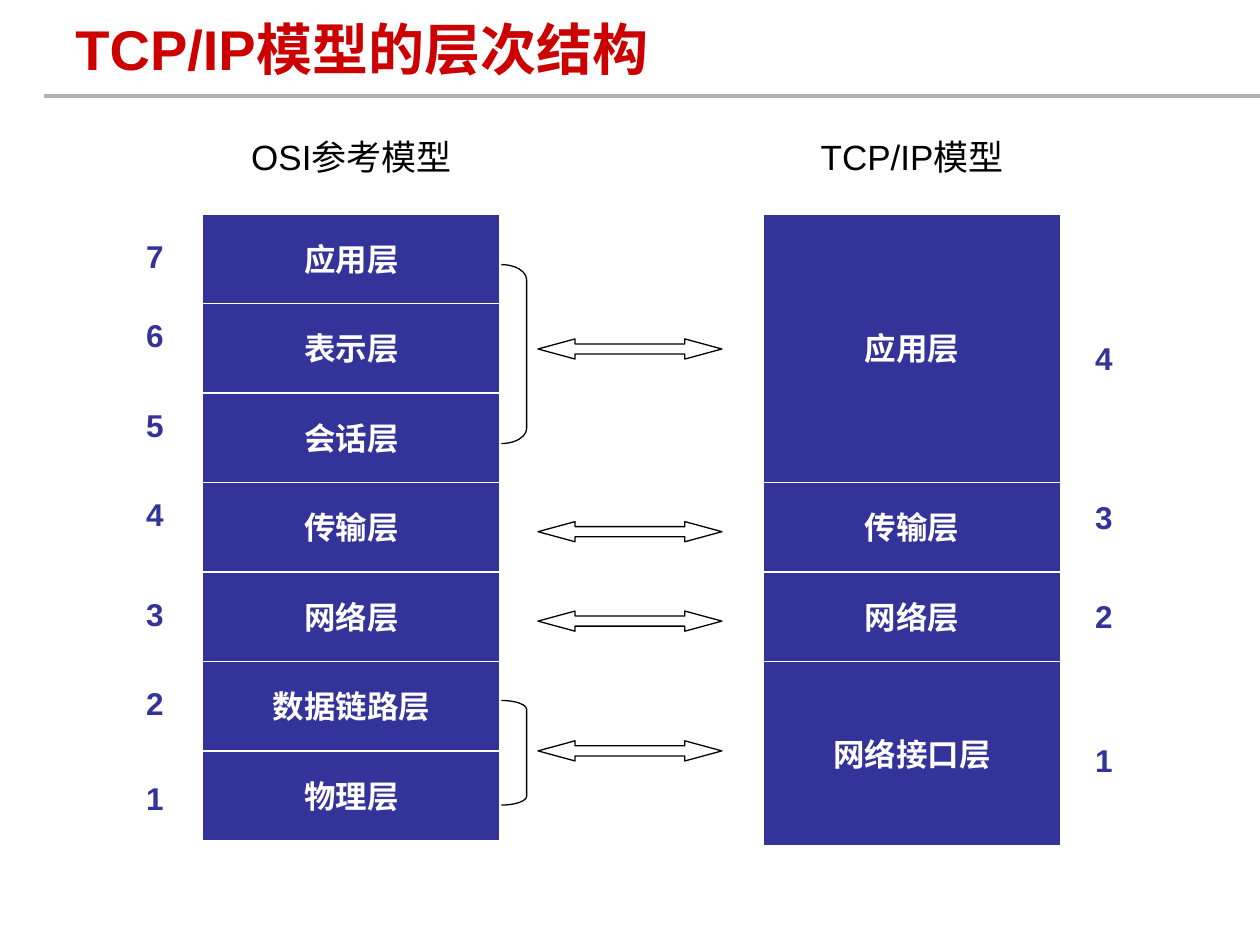
from pptx import Presentation
from pptx.dml.color import RGBColor
from pptx.enum.shapes import MSO_CONNECTOR, MSO_SHAPE as Shape
from pptx.enum.text import MSO_ANCHOR as Anchor, PP_ALIGN as Align
from pptx.oxml.ns import qn
from pptx.util import Inches, Pt

RED = RGBColor(0xCC, 0x00, 0x00)
NAVY = RGBColor(0x33, 0x33, 0x99)
GRAY = RGBColor(0xB2, 0xB2, 0xB2)
BLACK = RGBColor(0x00, 0x00, 0x00)
WHITE = RGBColor(0xFF, 0xFF, 0xFF)

TITLE = "TCP/IP模型的层次结构"
ROW_TOP, ROW_HEIGHT = 1.7, 0.71
STACK_WIDTH = 2.36
HEADING_WIDTH = 2.01
NUMBER_WIDTH, NUMBER_HEIGHT = 0.34, 0.4
ARROW_LEFT, ARROW_WIDTH, ARROW_HEIGHT = 4.27, 1.46, 0.16

# name, height in rows, top of the layer number
STACKS = [
    {
        "heading": "OSI参考模型", "left": 1.61, "number_left": 1.06,
        "layers": [("应用层", 1, 1.83), ("表示层", 1, 2.46), ("会话层", 1, 3.17),
                   ("传输层", 1, 3.88), ("网络层", 1, 4.67),
                   ("数据链路层", 1, 5.38), ("物理层", 1, 6.13)],
    },
    {
        "heading": "TCP/IP模型", "left": 6.06, "number_left": 8.59,
        "layers": [("应用层", 3, 2.64), ("传输层", 1, 3.9), ("网络层", 1, 4.69),
                   ("网络接口层", 2.06, 5.83)],
    },
]
BRACKETS = [(2.1, 1.42, 0.6), (5.56, 0.83, 0.35)]
ARROW_TOPS = [2.69, 4.14, 4.85, 5.88]


def write(shape, text, size, color, font="Arial", bold=True,
          align=Align.CENTER, anchor=Anchor.TOP, wrap=False, space_before=0):
    frame = shape.text_frame
    frame.word_wrap = wrap
    frame.vertical_anchor = anchor
    paragraph = frame.paragraphs[0]
    paragraph.alignment = align
    paragraph.space_before = Pt(space_before)
    run = paragraph.add_run()
    run.text = text
    run.font.size = Pt(size)
    run.font.name = font
    run.font.bold = bold
    run.font.color.rgb = color


def add_label(slide, box, text, size, color, **style):
    write(slide.shapes.add_textbox(*map(Inches, box)), text, size, color, **style)


def add_outline(slide, kind, box, line_color, fill_color=None, adjustments=()):
    shape = slide.shapes.add_shape(kind, *map(Inches, box))
    shape.shadow.inherit = False
    if fill_color is None:
        shape.fill.background()
    else:
        shape.fill.solid()
        shape.fill.fore_color.rgb = fill_color
    shape.line.color.rgb = line_color
    shape.line.width = Pt(0.75)
    for index, value in enumerate(adjustments):
        shape.adjustments[index] = value
    return shape


def add_header(slide):
    rule = slide.shapes.add_connector(
        MSO_CONNECTOR.STRAIGHT, Inches(0.35), Inches(0.76), Inches(10), Inches(0.76))
    rule.line.color.rgb = GRAY
    rule.line.width = Pt(2.25)
    properties = rule._element.spPr
    properties.append(properties.makeelement(qn("a:effectLst"), {}))
    add_label(slide, (0.5, 0.05, 7.92, 0.67), TITLE, 32, RED,
              align=Align.LEFT, anchor=Anchor.MIDDLE, wrap=True)


def add_stack(slide, stack):
    heading_left = stack["left"] + (STACK_WIDTH - HEADING_WIDTH) / 2
    add_label(slide, (heading_left, 1.03, HEADING_WIDTH, 0.44), stack["heading"],
              20, BLACK, bold=False, wrap=True, space_before=12.5)
    top = ROW_TOP
    for index, (name, rows, number_top) in enumerate(stack["layers"]):
        height = rows * ROW_HEIGHT
        layer = add_outline(slide, Shape.RECTANGLE,
                            (stack["left"], top, STACK_WIDTH, height), WHITE, NAVY)
        write(layer, name, 18, WHITE, font="Times New Roman", anchor=Anchor.MIDDLE)
        number = len(stack["layers"]) - index
        add_label(slide, (stack["number_left"], number_top, NUMBER_WIDTH, NUMBER_HEIGHT),
                  str(number), 18, NAVY)
        top += height


def main():
    presentation = Presentation()
    presentation.slide_width, presentation.slide_height = Inches(10), Inches(7.5)
    slide = presentation.slides.add_slide(presentation.slide_layouts[6])
    add_header(slide)
    for stack in STACKS:
        add_stack(slide, stack)
    for top, height, curve in BRACKETS:
        add_outline(slide, Shape.RIGHT_BRACKET, (3.98, top, 0.2, height), BLACK,
                    adjustments=[curve])
    for top in ARROW_TOPS:
        add_outline(slide, Shape.LEFT_RIGHT_ARROW,
                    (ARROW_LEFT, top, ARROW_WIDTH, ARROW_HEIGHT), BLACK,
                    adjustments=[0.5, 1.84])
    presentation.save("out.pptx")


if __name__ == "__main__":
    main()
